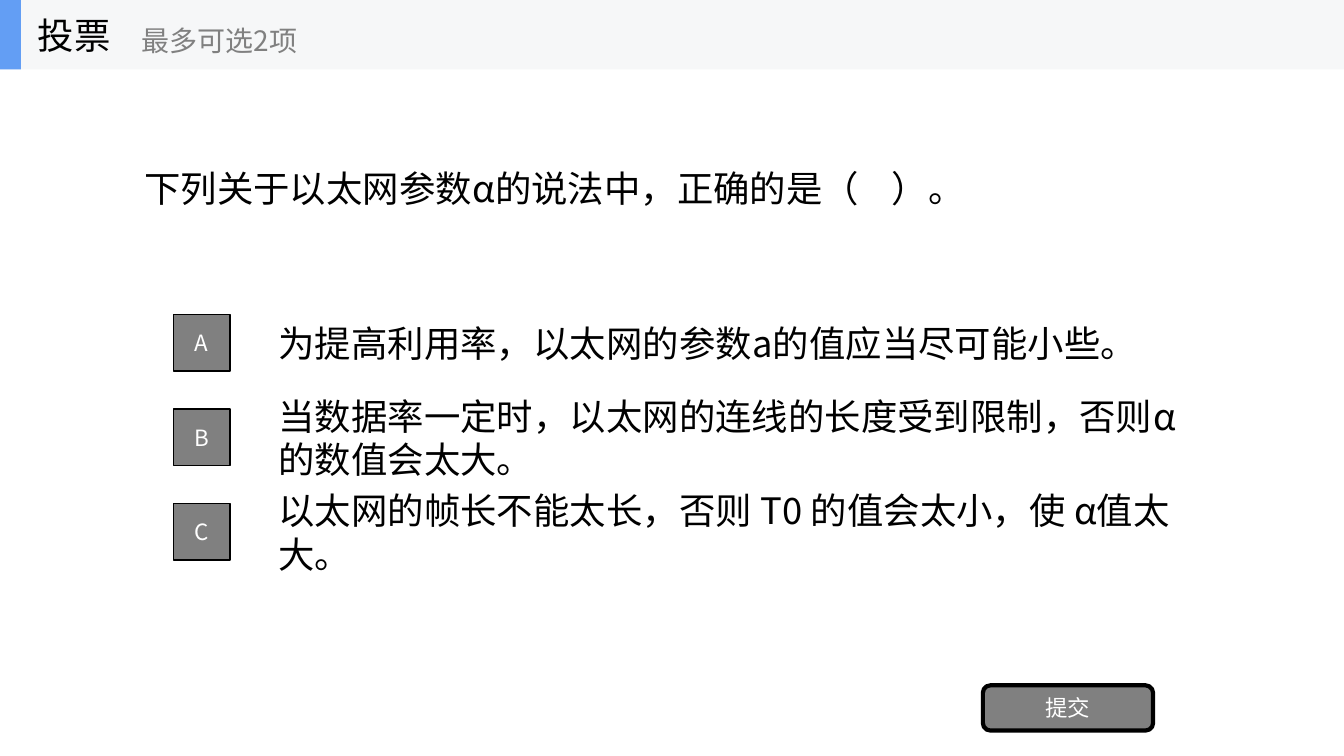
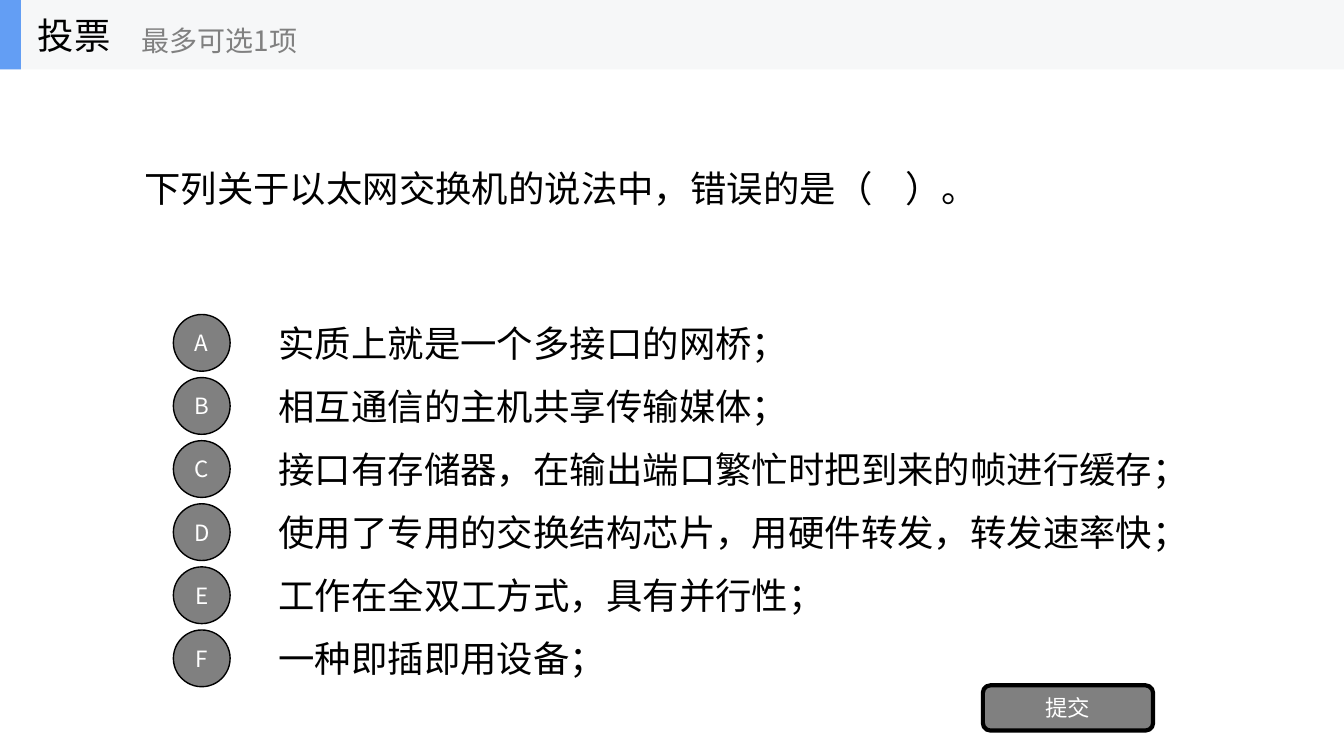
from lxml import etree
from pptx import Presentation
from pptx.dml.color import RGBColor
from pptx.enum.shapes import MSO_SHAPE
from pptx.enum.text import MSO_ANCHOR, MSO_AUTO_SIZE, PP_ALIGN
from pptx.oxml.ns import qn
from pptx.util import Cm, Pt

RECT = MSO_SHAPE.RECTANGLE
ROUNDED = MSO_SHAPE.ROUNDED_RECTANGLE
OVAL = MSO_SHAPE.OVAL
MIDDLE = MSO_ANCHOR.MIDDLE
LEFT, CENTER = PP_ALIGN.LEFT, PP_ALIGN.CENTER
NO_AUTOFIT = MSO_AUTO_SIZE.NONE

BLACK = RGBColor(0x00, 0x00, 0x00)
WHITE = RGBColor(0xFF, 0xFF, 0xFF)
GRAY = RGBColor(0x80, 0x80, 0x80)
BAND = RGBColor(0xF6, 0xF7, 0xF8)
ACCENT = RGBColor(0x63, 0x9E, 0xF4)

FONT = "Noto Sans CJK SC"
TITLE_ONLY = 5
SLIDE_W, SLIDE_H = 33.87, 19.05
BAND_H = 1.75
OPTIONS_TOP, OPTION_H = 7.75, 1.78
BADGE = 1.43


class PollDeck:
    """Holds the style of the poll slides and the slide being built."""

    def __init__(self):
        self.prs = Presentation()
        self.prs.slide_width = Cm(SLIDE_W)
        self.prs.slide_height = Cm(SLIDE_H)
        self.slide = None

    def set_text(self, shape, text, size, color, align=LEFT, wrap=True):
        frame = shape.text_frame
        frame.text = text
        frame.word_wrap = wrap
        frame.auto_size = NO_AUTOFIT
        frame.vertical_anchor = MIDDLE
        paragraph = frame.paragraphs[0]
        paragraph.alignment = align
        font = paragraph.font
        font.size = Pt(size)
        font.color.rgb = color
        font.name = FONT
        # Chinese characters take the East Asian typeface
        defaults = paragraph._p.pPr.find(qn("a:defRPr"))
        etree.SubElement(defaults, qn("a:ea")).set("typeface", FONT)

    def label(self, text, left, top, width, height, size=26, color=BLACK, wrap=True):
        box = self.slide.shapes.add_textbox(Cm(left), Cm(top), Cm(width), Cm(height))
        self.set_text(box, text, size, color, wrap=wrap)

    def block(self, kind, left, top, width, height, fill, line_width=None):
        shape = self.slide.shapes.add_shape(
            kind, Cm(left), Cm(top), Cm(width), Cm(height))
        shape.shadow.inherit = False
        shape.fill.solid()
        shape.fill.fore_color.rgb = fill
        if line_width is None:
            shape.line.fill.background()
        else:
            shape.line.color.rgb = BLACK
            shape.line.width = Pt(line_width)
        return shape

    def question(self, text):
        title = self.slide.shapes.title
        title.left, title.top = Cm(3.38), Cm(BAND_H)
        title.width, title.height = Cm(27.1), Cm(5.95)
        self.set_text(title, text, 26, BLACK)

    def header(self, limit):
        self.block(RECT, 0, 0, SLIDE_W, BAND_H, BAND)
        self.block(RECT, 0, 0, 0.53, BAND_H, ACCENT)
        self.label("投票", 0.7, 0, 5.29, BAND_H, wrap=False)
        self.label(f"最多可选{limit}项", 3.32, 0.31, 6.35, 1.43,
                   size=20, color=GRAY, wrap=False)

    def option(self, letter, text, top, badge_kind):
        self.label(text, 6.77, top, 23.7, OPTION_H)
        badge_top = top + (OPTION_H - BADGE) / 2
        badge = self.block(badge_kind, 4.37, badge_top, BADGE, BADGE, GRAY, 1)
        self.set_text(badge, letter, 16, WHITE, CENTER)

    def submit_button(self):
        button = self.block(ROUNDED, 24.77, 17.27, 4.29, 1.14, GRAY, 3)
        self.set_text(button, "提交", 16, WHITE, CENTER)

    def poll(self, question, limit, options, pitch, badge_kind):
        layout = self.prs.slide_layouts[TITLE_ONLY]
        self.slide = self.prs.slides.add_slide(layout)
        self.question(question)
        for row, (letter, text) in enumerate(zip("ABCDEF", options)):
            self.option(letter, text, OPTIONS_TOP + row * pitch, badge_kind)
        self.submit_button()
        self.header(limit)


def main():
    deck = PollDeck()

    # Multiple choice: square badges
    deck.poll(
        "下列关于以太网参数α的说法中，正确的是（    ）。",
        limit=2,
        options=[
            "为提高利用率，以太网的参数a的值应当尽可能小些。",
            "当数据率一定时，以太网的连线的长度受到限制，否则α的数值会太大。",
            "以太网的帧长不能太长，否则 T0 的值会太小，使 α值太大。",
        ],
        pitch=2.38,
        badge_kind=RECT,
    )

    # Single choice: round badges
    deck.poll(
        "下列关于以太网交换机的说法中，错误的是（    ）。",
        limit=1,
        options=[
            "实质上就是一个多接口的网桥；",
            "相互通信的主机共享传输媒体；",
            "接口有存储器，在输出端口繁忙时把到来的帧进行缓存；",
            "使用了专用的交换结构芯片，用硬件转发，转发速率快；",
            "工作在全双工方式，具有并行性；",
            "一种即插即用设备；",
        ],
        pitch=1.59,
        badge_kind=OVAL,
    )

    deck.prs.save("out.pptx")


if __name__ == "__main__":
    main()
